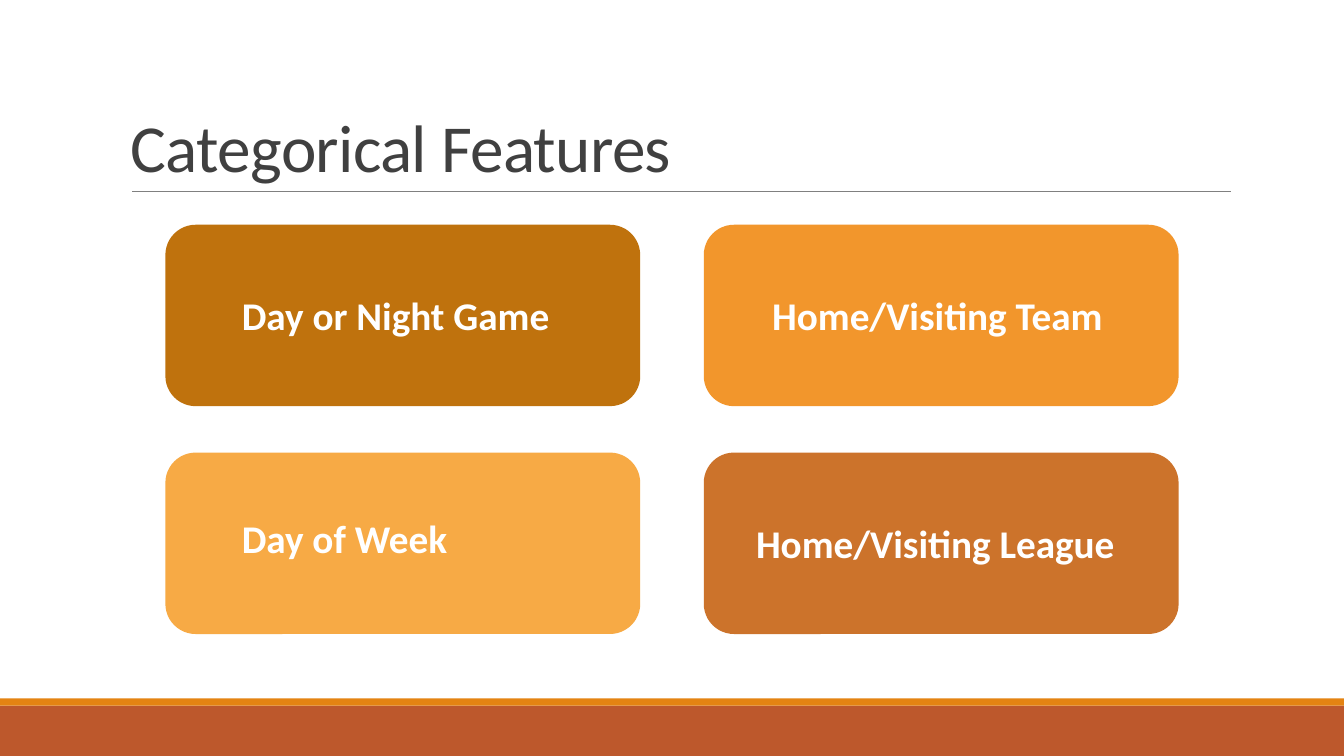
"""Build the Categorical Features slide."""
from dataclasses import dataclass

from lxml import etree
from pptx import Presentation
from pptx.dml.color import RGBColor
from pptx.enum.shapes import MSO_CONNECTOR, MSO_SHAPE
from pptx.enum.text import MSO_ANCHOR, MSO_AUTO_SIZE
from pptx.oxml.ns import qn
from pptx.slide import Slide
from pptx.text.text import _Paragraph
from pptx.util import Inches, Pt

RECTANGLE = MSO_SHAPE.RECTANGLE
ROUNDED = MSO_SHAPE.ROUNDED_RECTANGLE
STRAIGHT = MSO_CONNECTOR.STRAIGHT
BOTTOM = MSO_ANCHOR.BOTTOM
GROW = MSO_AUTO_SIZE.SHAPE_TO_FIT_TEXT

FONT = "Calibri"
COLORS = {
    "footer": "BD582C",
    "stripe": "E48312",
    "rule": "808080",
    "title": "404040",
    "label": "FFFFFF",
    "brown": "BF720D",
    "orange": "F2962C",
    "amber": "F7AA45",
    "rust": "CC732B",
}
CARD_LEFT, CARD_TOP = 1.64, 2.23
CARD_WIDTH, CARD_HEIGHT = 4.71, 1.8
COLUMN_STEP, ROW_STEP = 5.34, 2.26
LABEL_HEIGHT = 0.57


@dataclass(frozen=True)
class Feature:
    text: str
    color: str
    column: int
    row: int
    label_left: float
    label_top: float
    label_width: float


FEATURES = (
    Feature("Day or Night Game", "brown", 0, 0, 2.3, 2.84, 3.29),
    Feature("Day of Week", "amber", 0, 1, 2.3, 5.05, 2.74),
    Feature("Home/Visiting Team", "orange", 1, 0, 7.56, 2.84, 3.78),
    Feature("Home/Visiting League", "rust", 1, 1, 7.4, 5.1, 3.88),
)


def color_of(name: str) -> RGBColor:
    return RGBColor.from_string(COLORS[name])


def add_block(page: Slide, kind: MSO_SHAPE, color: str, left: float,
              top: float, width: float, height: float) -> None:
    block = page.shapes.add_shape(
        kind, Inches(left), Inches(top), Inches(width), Inches(height))
    block.shadow.inherit = False
    block.fill.solid()
    block.fill.fore_color.rgb = color_of(color)
    block.line.fill.background()


def add_text(page: Slide, text: str, color: str, size: int, left: float,
             top: float, width: float, height: float) -> _Paragraph:
    box = page.shapes.add_textbox(
        Inches(left), Inches(top), Inches(width), Inches(height))
    box.text_frame.word_wrap = True
    para = box.text_frame.paragraphs[0]
    para.text = text
    para.font.name = FONT
    para.font.size = Pt(size)
    para.font.color.rgb = color_of(color)
    return para


def add_title(page: Slide) -> None:
    para = add_text(page, "Categorical Features", "title", 48,
                    1.2, 0.31, 11, 1.59)
    para.line_spacing = 0.85
    span = para.runs[0]
    span.font._element.set("spc", "-50")
    page.shapes[-1].text_frame.vertical_anchor = BOTTOM


def add_rule(page: Slide) -> None:
    rule = page.shapes.add_connector(
        STRAIGHT, Inches(1.31), Inches(1.9), Inches(12.21), Inches(1.9))
    rule.line.color.rgb = color_of("rule")
    rule.line.width = Pt(0.5)
    etree.SubElement(rule._element.spPr, qn("a:effectLst"))


def add_card(page: Slide, feature: Feature) -> None:
    add_block(page, ROUNDED, feature.color,
              CARD_LEFT + feature.column * COLUMN_STEP,
              CARD_TOP + feature.row * ROW_STEP, CARD_WIDTH, CARD_HEIGHT)


def add_label(page: Slide, feature: Feature) -> None:
    para = add_text(page, feature.text, "label", 28, feature.label_left,
                    feature.label_top, feature.label_width, LABEL_HEIGHT)
    para.font.bold = True
    page.shapes[-1].text_frame.auto_size = GROW


def main() -> None:
    deck = Presentation()
    deck.slide_width = Inches(13.33)
    deck.slide_height = Inches(7.5)
    page = deck.slides.add_slide(deck.slide_layouts[6])
    add_block(page, RECTANGLE, "footer", 0, 7, 13.33, 0.5)
    add_block(page, RECTANGLE, "stripe", 0, 6.93, 13.33, 0.07)
    add_rule(page)
    add_title(page)
    for feature in FEATURES:
        add_card(page, feature)
        add_label(page, feature)
    deck.save("out.pptx")


if __name__ == "__main__":
    main()
